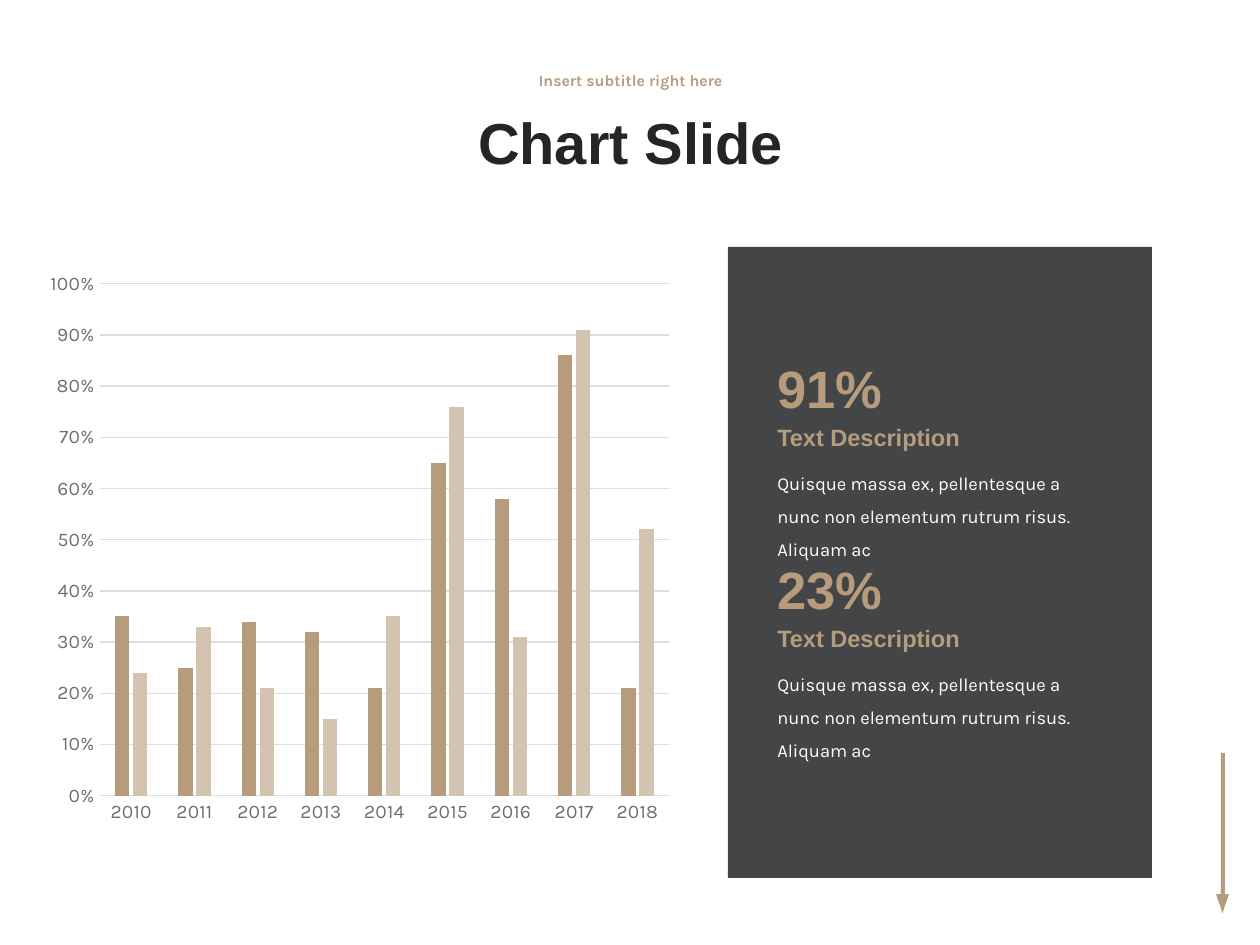
from dataclasses import dataclass

from lxml import etree
from pptx import Presentation
from pptx import util as u
from pptx.chart.data import CategoryChartData
from pptx.dml.color import RGBColor
from pptx.enum import chart as ch, shapes, text
from pptx.oxml import parse_xml
from pptx.oxml.ns import nsdecls, qn

PX = 914400 // 126


@dataclass(frozen=True)
class Theme:
    ink: str = "242527"
    tan: str = "B69B7D"
    sand: str = "D3C3B1"
    grey: str = "6D7076"
    rule: str = "DDDEE0"
    white: str = "FFFFFF"
    head: str = "Arial"
    body: str = "Karla"
    title: float = 33
    subtitle: float = 9
    figure: float = 30
    label: float = 13.5
    copy: float = 10.5
    axis: float = 11


T = Theme()
YEARS = [str(year) for year in range(2010, 2019)]
SERIES = [
    ("Series 1", T.tan, (0.35, 0.25, 0.34, 0.32, 0.21, 0.65, 0.58, 0.86, 0.21)),
    ("Series 2", T.sand, (0.24, 0.33, 0.21, 0.15, 0.35, 0.76, 0.31, 0.91, 0.52)),
]
DESCRIPTION = "Quisque massa ex, pellentesque a nunc non elementum rutrum risus. Aliquam ac"


def box(*px):
    return [n * PX for n in px]


def rgb(code):
    return RGBColor.from_string(code)


def style(font, size, color, name, bold=False):
    font.size, font.name, font.bold = u.Pt(size), name, bold
    font.color.rgb = rgb(color)


def add_text(s, at, words, size, color, name, bold=False, spacing=None, heading=False):
    """Add a one-paragraph box; a heading is centred both ways, others fit their text."""
    tf = s.shapes.add_textbox(*box(*at)).text_frame
    tf.word_wrap = True
    p = tf.paragraphs[0]
    p.text = words
    if heading:
        tf.vertical_anchor = text.MSO_ANCHOR.MIDDLE
        p.alignment = text.PP_ALIGN.CENTER
    else:
        tf.auto_size = text.MSO_AUTO_SIZE.SHAPE_TO_FIT_TEXT
    if spacing:
        p.line_spacing = spacing
    style(p.font, size, color, name, bold)


def add_solid(s, kind, at, color, alpha=None, rotation=0):
    sp = s.shapes.add_shape(kind, *box(*at))
    sp.shadow.inherit = False
    sp.rotation = rotation
    sp.fill.solid()
    sp.fill.fore_color.rgb = rgb(color)
    sp.line.fill.background()
    if alpha:
        clr = sp.fill._xPr.find(".//" + qn("a:srgbClr"))
        etree.SubElement(clr, qn("a:alpha"), val=str(alpha * 1000))


def style_axis(axis):
    axis.major_tick_mark = axis.minor_tick_mark = ch.XL_TICK_MARK.NONE
    style(axis.tick_labels.font, T.axis, T.grey, T.body)


def style_rule(line):
    line.color.rgb = rgb(T.rule)
    line.width = u.Pt(0.75)


def set_plot_layout(chart, x, y, w, h):
    """Fix the inner plot area, in fractions of the chart."""
    area = chart._chartSpace.chart.plotArea
    for old in area.findall(qn("c:layout")):
        area.remove(old)
    modes = '<c:xMode val="edge"/><c:yMode val="edge"/>'
    sizes = "".join(f'<c:{k} val="{v}"/>' for k, v in zip("xywh", (x, y, w, h)))
    area.insert(0, parse_xml(
        f'<c:layout {nsdecls("c")}><c:manualLayout><c:layoutTarget val="inner"/>'
        f"{modes}{sizes}</c:manualLayout></c:layout>"))


def add_column_chart(s, at):
    data = CategoryChartData(number_format="0%")
    data.categories = YEARS
    for name, _, values in SERIES:
        data.add_series(name, values)
    chart = s.shapes.add_chart(ch.XL_CHART_TYPE.COLUMN_CLUSTERED, *box(*at), data).chart
    chart.has_legend = chart.has_title = False
    style(chart.font, T.axis, T.ink, T.body)

    plot = chart.plots[0]
    plot.vary_by_categories = False
    plot.gap_width, plot.overlap = 219, -27
    for series, (_, color, _) in zip(plot.series, SERIES):
        series.format.fill.solid()
        series.format.fill.fore_color.rgb = rgb(color)

    years, values = chart.category_axis, chart.value_axis
    style_axis(years)
    style_axis(values)
    style_rule(years.format.line)
    style_rule(values.major_gridlines.format.line)
    values.format.line.fill.background()
    values.minimum_scale, values.maximum_scale, values.major_unit = 0, 1, 0.1
    values.tick_labels.number_format = "0%"
    values.tick_labels.number_format_is_linked = False
    set_plot_layout(chart, 0.09, 0.02, 0.89, 0.88)


def add_stat(s, x, y, figure):
    add_text(s, (x, y, 203, 77), figure, T.figure, T.tan, T.head, bold=True)
    add_text(s, (x, y + 67, 276, 42), "Text Description", T.label, T.tan, T.head, bold=True)
    add_text(s, (x, y + 105, 352, 76), DESCRIPTION, T.copy, T.white, T.body, spacing=1.5)


def add_down_arrow(s):
    add_solid(s, shapes.MSO_SHAPE.RECTANGLE, (1221, 753, 4, 142), T.tan)
    add_solid(s, shapes.MSO_SHAPE.ISOSCELES_TRIANGLE, (1216, 894, 13, 19), T.tan, rotation=180)


def main():
    prs = Presentation()
    prs.slide_width, prs.slide_height = u.Inches(10), u.Inches(7.5)
    s = prs.slides.add_slide(prs.slide_layouts[6])
    add_down_arrow(s)
    add_text(s, (276, 81, 709, 130), "Chart Slide", T.title, T.ink, T.head,
             bold=True, spacing=0.9, heading=True)
    add_text(s, (276, 57, 709, 48), "Insert subtitle right here", T.subtitle, T.tan, T.body,
             bold=True, spacing=0.9, heading=True)
    add_solid(s, shapes.MSO_SHAPE.RECTANGLE, (728, 247, 424, 631), T.ink, alpha=85)
    add_column_chart(s, (42, 272, 640, 582))
    for row, figure in enumerate(("91%", "23%")):
        add_stat(s, 765, 350 + row * 201, figure)
    prs.save("out.pptx")


if __name__ == "__main__":
    main()
